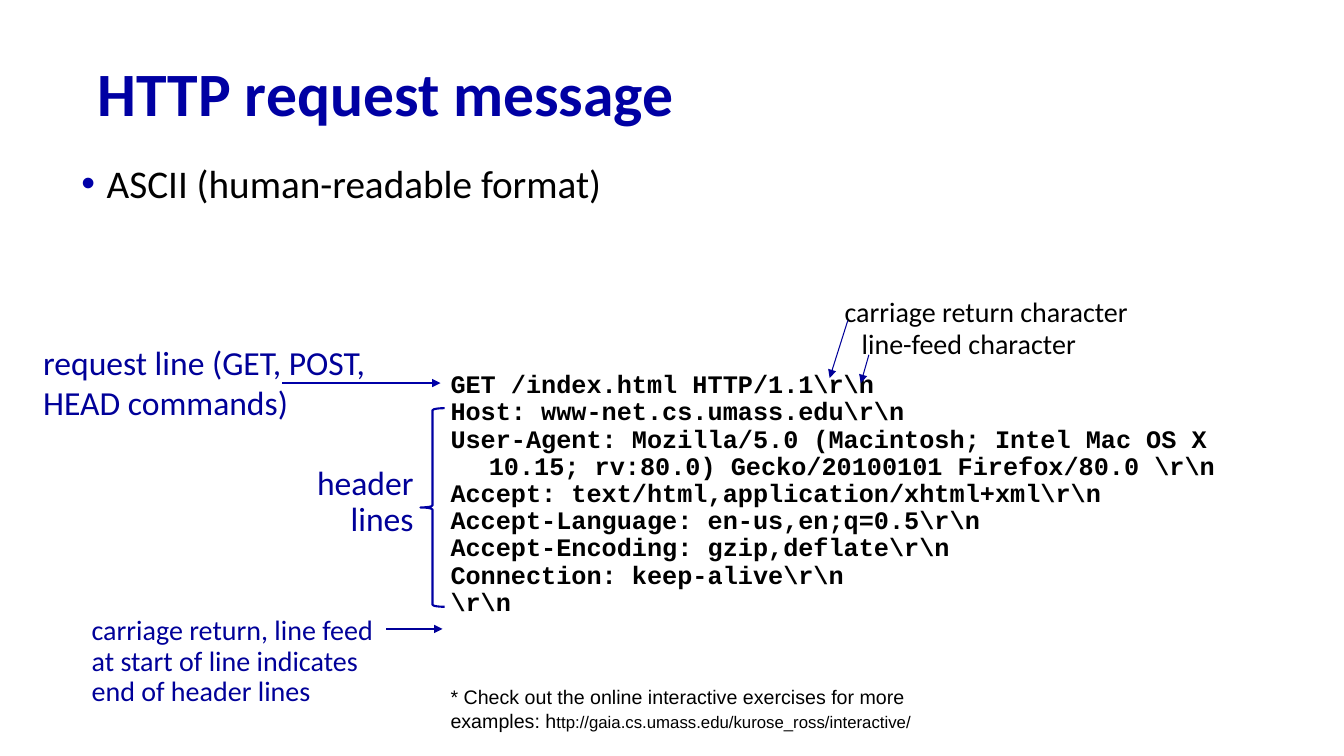
"""Build a slide that explains the parts of an HTTP request message."""
from dataclasses import dataclass

from lxml.etree import SubElement
from pptx import Presentation
from pptx.dml.color import RGBColor
from pptx.enum.shapes import MSO_CONNECTOR, MSO_SHAPE
from pptx.enum.text import MSO_ANCHOR, PP_ALIGN
from pptx.oxml.ns import qn
from pptx.slide import Slide
from pptx.util import Emu, Inches, Pt


@dataclass(frozen=True)
class Theme:
    heading: str = "0000A3"
    accent: str = "0000A8"
    label: str = "000099"
    ink: str = "000000"
    body_font: str = "Calibri"
    code_font: str = "Courier New"
    note_font: str = "Arial"
    title_size: int = 44
    bullet_size: int = 28
    label_size: int = 24
    remark_size: int = 20
    code_size: int = 18
    note_size: int = 14
    address_size: int = 12
    thin: float = 0.75
    thick: float = 1.5


THEME = Theme()
WIDTH, HEIGHT = Inches(13.33), Inches(7.5)


@dataclass(frozen=True)
class Area:
    """Left, top, width and height as percent of the slide."""
    left: float
    top: float
    width: float
    height: float


@dataclass(frozen=True)
class Span:
    text: str
    size: int


@dataclass(frozen=True)
class TextBlock:
    area: Area
    paragraphs: list[list[Span]]
    color: str = THEME.ink
    font: str = THEME.body_font
    bold: bool = False
    spacing: float = 1.0
    hanging: float = 0
    indent: float = 0
    bullet: str = ""
    wrap: bool = True
    align: PP_ALIGN = PP_ALIGN.LEFT
    anchor: MSO_ANCHOR = MSO_ANCHOR.TOP


@dataclass(frozen=True)
class Arrow:
    """Start and end points as percent of the slide."""
    start: tuple[float, float]
    end: tuple[float, float]
    weight: float
    color: str = THEME.label


def across(percent: float) -> Emu:
    return Emu(round(WIDTH * percent / 100))


def down(percent: float) -> Emu:
    return Emu(round(HEIGHT * percent / 100))


def place(area: Area) -> tuple[Emu, Emu, Emu, Emu]:
    return across(area.left), down(area.top), across(area.width), down(area.height)


def lines(size: int, *texts: str) -> list[list[Span]]:
    return [[Span(text, size)] for text in texts]


def add_text(page: Slide, block: TextBlock) -> None:
    box = page.shapes.add_textbox(*place(block.area))
    frame = box.text_frame
    frame.word_wrap = block.wrap
    frame.vertical_anchor = block.anchor
    for index, spans in enumerate(block.paragraphs):
        para = frame.add_paragraph() if index else frame.paragraphs[0]
        para.alignment = block.align
        para.line_spacing = block.spacing
        properties = para._p.get_or_add_pPr()
        if block.indent:
            properties.set("marL", str(Inches(block.indent)))
            properties.set("indent", str(-Inches(block.hanging)))
        if block.bullet:
            tint = SubElement(properties, qn("a:buClr"))
            SubElement(tint, qn("a:srgbClr"), val=THEME.accent)
            SubElement(properties, qn("a:buFont"), typeface=THEME.note_font)
            SubElement(properties, qn("a:buChar"), char=block.bullet)
        for span in spans:
            run = para.add_run()
            run.text = span.text
            run.font.name = block.font
            run.font.size = Pt(span.size)
            run.font.bold = block.bold
            run.font.color.rgb = RGBColor.from_string(block.color)


def add_arrow(page: Slide, arrow: Arrow) -> None:
    (left, top), (right, bottom) = arrow.start, arrow.end
    connector = page.shapes.add_connector(
        MSO_CONNECTOR.STRAIGHT, across(left), down(top), across(right), down(bottom))
    connector.line.width = Pt(arrow.weight)
    connector.line.color.rgb = RGBColor.from_string(arrow.color)
    SubElement(connector.line._get_or_add_ln(), qn("a:tailEnd"), type="triangle")
    SubElement(connector._element.spPr, qn("a:effectLst"))


def add_brace(page: Slide, area: Area) -> None:
    brace = page.shapes.add_shape(MSO_SHAPE.LEFT_BRACE, *place(area))
    brace.shadow.inherit = False
    brace.fill.background()
    brace.line.color.rgb = RGBColor.from_string(THEME.heading)
    brace.line.width = Pt(THEME.thick)


TEXTS = [
    TextBlock(Area(6.53, 6.27, 86.25, 13.07), lines(THEME.title_size, "HTTP request message"),
              THEME.heading, bold=True, spacing=0.9, anchor=MSO_ANCHOR.MIDDLE),
    TextBlock(Area(4.35, 21.07, 95.6, 20.8),
              lines(THEME.bullet_size, "ASCII (human-readable format)"),
              spacing=0.9, indent=0.38, hanging=0.25, bullet="•"),
    TextBlock(Area(22.73, 61.07, 8.78, 11.07), lines(THEME.label_size, "header", "lines"),
              THEME.label, spacing=0.9, wrap=False, align=PP_ALIGN.RIGHT),
    TextBlock(Area(32.78, 48.53, 64.95, 34.13), lines(
        THEME.code_size,
        r"GET /index.html HTTP/1.1\r\n",
        r"Host: www-net.cs.umass.edu\r\n",
        r"User-Agent: Mozilla/5.0 (Macintosh; Intel Mac OS X 10.15; rv:80.0) "
        r"Gecko/20100101 Firefox/80.0 \r\n",
        r"Accept: text/html,application/xhtml+xml\r\n",
        r"Accept-Language: en-us,en;q=0.5\r\n",
        r"Accept-Encoding: gzip,deflate\r\n",
        r"Connection: keep-alive\r\n",
        r"\r\n",
    ), font=THEME.code_font, bold=True, spacing=0.9, indent=0.38, hanging=0.38),
    TextBlock(Area(62.1, 38.27, 22.8, 5.87),
              lines(THEME.remark_size, "carriage return character"),
              indent=0.38, hanging=0.38, wrap=False),
    TextBlock(Area(63.38, 42.53, 17.63, 5.87), lines(THEME.remark_size, "line-feed character"),
              indent=0.38, hanging=0.38, wrap=False),
    TextBlock(Area(2.48, 44.53, 25.95, 12.13),
              lines(THEME.label_size, "request line (GET, POST,", "HEAD commands)"),
              THEME.label),
    TextBlock(Area(6.08, 80.93, 22.73, 13.47), lines(
        THEME.remark_size,
        "carriage return, line feed at start of line indicates end of header lines",
    ), THEME.label, spacing=0.9),
    TextBlock(Area(32.78, 90, 36.98, 7.6), [[
        Span("* Check out the online interactive exercises for more examples: h",
             THEME.note_size),
        Span("ttp://gaia.cs.umass.edu/kurose_ross/interactive/", THEME.address_size),
    ]], font=THEME.note_font),
]

ARROWS = [
    Arrow((63.08, 42.4), (61.73, 50), THEME.thin),
    Arrow((64.65, 46.93), (64.05, 50.67), THEME.thin),
    Arrow((21, 50.67), (32.78, 50.67), THEME.thick, THEME.accent),
    Arrow((28.73, 83.2), (32.93, 83.2), THEME.thick),
]


def main() -> None:
    deck = Presentation()
    deck.slide_width, deck.slide_height = WIDTH, HEIGHT
    page = deck.slides.add_slide(deck.slide_layouts[6])
    for block in TEXTS:
        add_text(page, block)
    for arrow in ARROWS:
        add_arrow(page, arrow)
    add_brace(page, Area(31.28, 54, 1.8, 26.27))
    deck.save("out.pptx")


if __name__ == "__main__":
    main()
